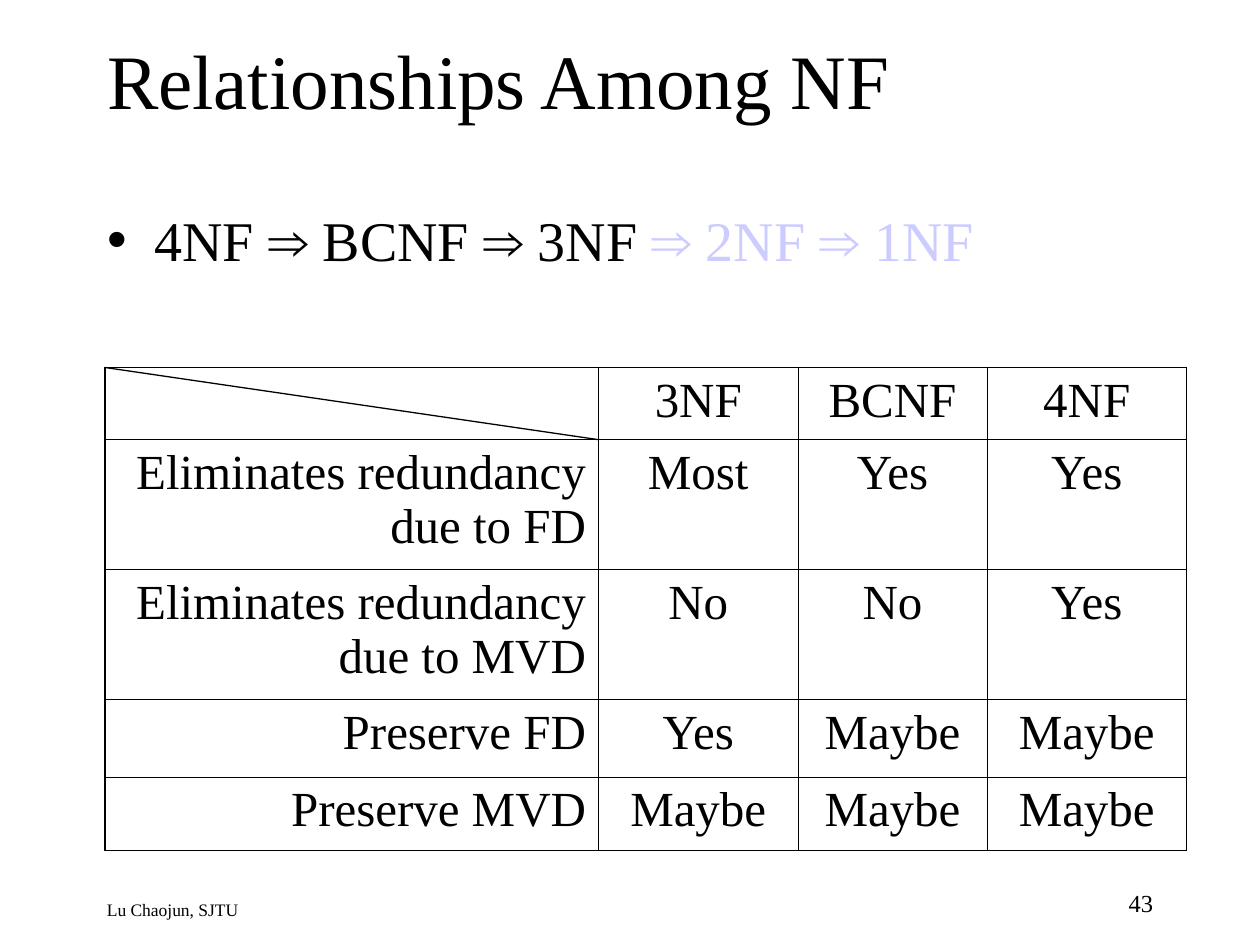
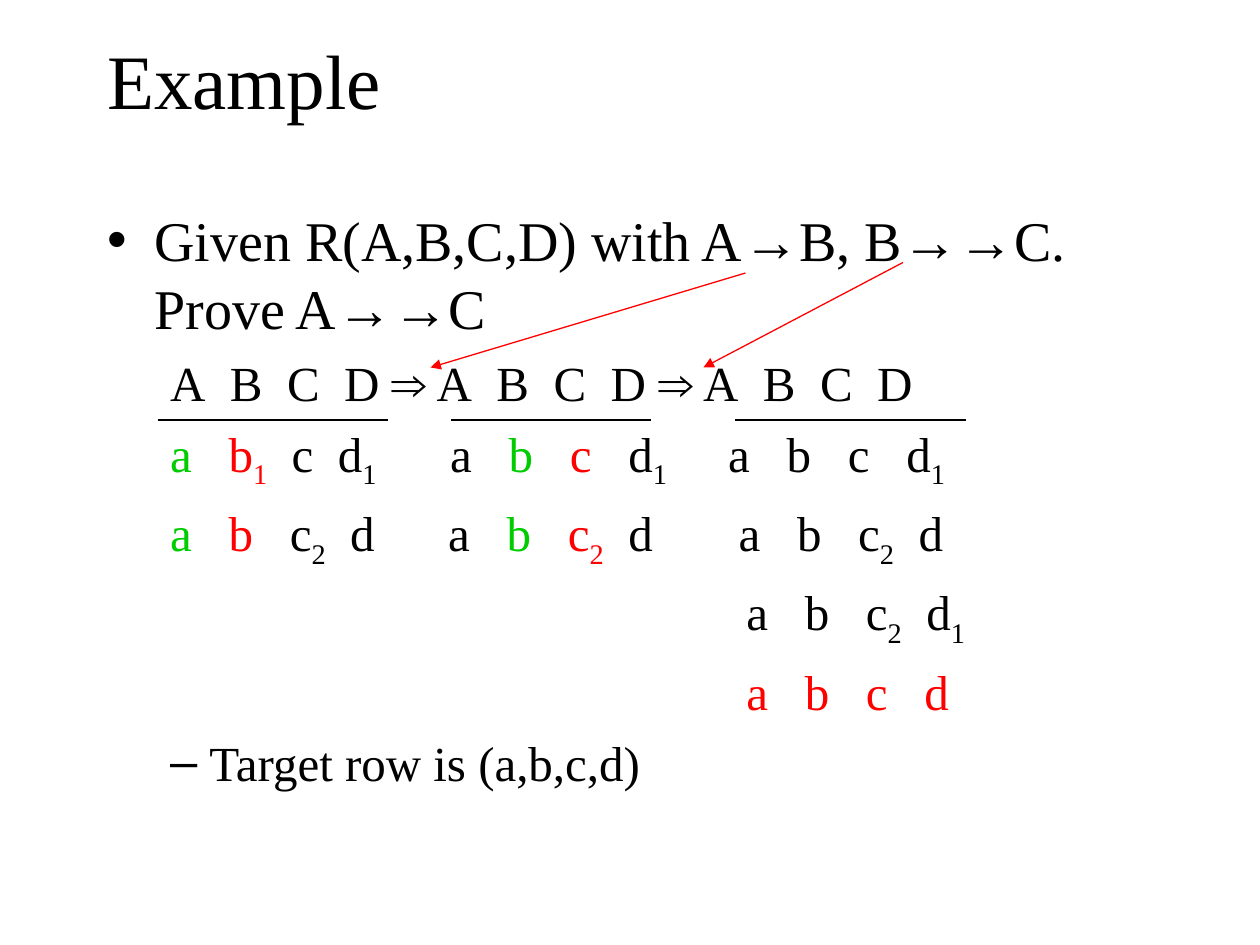
from dataclasses import dataclass
from itertools import groupby

from lxml.etree import SubElement
from pptx import Presentation
from pptx.dml.color import RGBColor
from pptx.enum.shapes import MSO_CONNECTOR
from pptx.enum.text import MSO_ANCHOR, MSO_AUTO_SIZE, PP_ALIGN
from pptx.oxml.ns import qn
from pptx.util import Pt


@dataclass(frozen=True)
class Theme:
    black: str = "000000"
    red: str = "FF0000"
    green: str = "00CC00"
    faded: str = "CCCCFF"
    text_font: str = "Times New Roman"
    symbol_font: str = "Arial"
    title_size: int = 44
    list_size: int = 32
    detail_size: int = 28
    number_size: int = 14
    footer_size: int = 10
    line_width: float = 0.75
    inner_border: float = 0.45
    outer_border: float = 1.08


THEME = Theme()
PX_PER_INCH = 96
ARROWS = "⇒→"

# Layout, in px: left, top, width, height
TITLE_BOX = (72, 0, 816, 120)
BODY_BOX = (72, 152, 816, 488)
FOOTER_BOX = (72, 680, 557, 24)
NUMBER_BOX = (688, 672, 200, 32)

# Comparison table
TABLE_LEFT, TABLE_TOP = 80, 280
COLUMN_WIDTHS = (376, 152, 144, 152)
ROW_HEIGHTS = (55, 99, 99, 59, 56)
NORMAL_FORMS = (
    ("", "3NF", "BCNF", "4NF"),
    ("Eliminates redundancy due to FD", "Most", "Yes", "Yes"),
    ("Eliminates redundancy due to MVD", "No", "No", "Yes"),
    ("Preserve FD", "Yes", "Maybe", "Maybe"),
    ("Preserve MVD", "Maybe", "Maybe", "Maybe"),
)

# Tableau rows: left margin, symbols, their colours (k black, r red, g green),
# and the gap after each symbol, counted in space widths
INK = {"k": THEME.black, "r": THEME.red, "g": THEME.green}
SPACE_WIDTH = THEME.detail_size / 4  # points
ROW_MARGIN, ADDED_ROW_MARGIN = 48, 487
TABLEAU = (
    (ROW_MARGIN, "A B C D ⇒ A B C D ⇒ A B C D", "k" * 14, "2221122211222"),
    (ROW_MARGIN, "a b1 c d1 a b c d1 a b c d1", "grkkkgrkkkkk", "32263335333"),
    (ROW_MARGIN, "a b c2 d a b c2 d a b c2 d", "grkkkgrkkkkk", "33263327332"),
    (ADDED_ROW_MARGIN, "a b c2 d1", "kkkk", "332"),
    (ADDED_ROW_MARGIN, "a b c d", "rrrr", "333"),
)
UNDERLINES = ((120, 296), (344, 496), (560, 736))
UNDERLINE_TOP = 320
STEP_ARROWS = (((568, 208), (328, 280)), ((688, 200), (536, 280)))


def emu(px):
    return round(px * 914400 / PX_PER_INCH)


def place(shape, bounds):
    shape.left, shape.top, shape.width, shape.height = map(emu, bounds)


# Text
def add_text(para, text, size=THEME.detail_size, color=THEME.black,
             subscripts=False, spacing=0):
    """Add text in runs; arrows take the symbol font, digits can be subscripts."""
    def kind(char):
        return char in ARROWS, subscripts and char.isdigit()

    for (is_arrow, is_subscript), chars in groupby(text, kind):
        span = para.add_run()
        span.text = "".join(chars)
        span.font.size = Pt(size)
        span.font.name = THEME.symbol_font if is_arrow else THEME.text_font
        span.font.color.rgb = RGBColor.from_string(color)
        if is_subscript:
            span.font._element.set("baseline", "-25000")
        if spacing:
            span.font._element.set("spc", str(round(spacing * 100)))


def set_indent(para, margin, indent):
    properties = para._p.get_or_add_pPr()
    properties.set("marL", str(emu(margin)))
    properties.set("indent", str(emu(indent)))
    return properties


def set_bullet(para, char, margin, indent):
    properties = set_indent(para, margin, indent)
    color = SubElement(properties, qn("a:buClr"))
    SubElement(color, qn("a:srgbClr"), val=THEME.black)
    SubElement(properties, qn("a:buFont"), typeface=THEME.symbol_font)
    SubElement(properties, qn("a:buChar"), char=char)


def add_detail(frame):
    para = frame.add_paragraph()
    para.level = 1
    para.space_before = Pt(7)
    return para


def add_tableau_row(frame, margin, symbols, inks, gaps):
    para = add_detail(frame)
    SubElement(set_indent(para, margin, 0), qn("a:buNone"))
    for index, (symbol, ink) in enumerate(zip(symbols.split(), inks)):
        if index:
            extra = (int(gaps[index - 1]) - 1) * SPACE_WIDTH
            add_text(para, " ", spacing=extra)
        add_text(para, symbol, color=INK[ink], subscripts=True)


def add_text_box(page, bounds, text, size, align=PP_ALIGN.LEFT):
    box = page.shapes.add_textbox(*map(emu, bounds))
    box.text_frame.word_wrap = True
    para = box.text_frame.paragraphs[0]
    para.alignment = align
    add_text(para, text, size=size)


# Pages
def add_page(deck, title):
    """Add a page with its title; return the page and its body text frame."""
    page = deck.slides.add_slide(deck.slide_layouts[1])
    heading, body = page.placeholders
    place(heading, TITLE_BOX)
    place(body, BODY_BOX)
    for placeholder in (heading, body):
        placeholder.text_frame.auto_size = MSO_AUTO_SIZE.NONE
    heading.text_frame.vertical_anchor = MSO_ANCHOR.MIDDLE
    para = heading.text_frame.paragraphs[0]
    para.alignment = PP_ALIGN.LEFT
    add_text(para, title, size=THEME.title_size)
    first = body.text_frame.paragraphs[0]
    set_bullet(first, "•", 36, -36)
    first.space_before = Pt(0)
    return page, body.text_frame


def add_footer(page, author, number):
    add_text_box(page, FOOTER_BOX, author, THEME.footer_size)
    add_text_box(page, NUMBER_BOX, number, THEME.number_size, PP_ALIGN.RIGHT)


# Lines and table
def add_line(page, start, end, color=THEME.black, arrow=False):
    line = page.shapes.add_connector(MSO_CONNECTOR.STRAIGHT, *map(emu, start + end))
    line.line.width = Pt(THEME.line_width)
    line.line.color.rgb = RGBColor.from_string(color)
    if arrow:
        SubElement(line.line._get_or_add_ln(), qn("a:tailEnd"), type="triangle")
    SubElement(line._element.spPr, qn("a:effectLst"))


def set_borders(cell, outer_sides):
    properties = cell._tc.get_or_add_tcPr()
    for side in "LRTB":
        width = THEME.outer_border if side in outer_sides else THEME.inner_border
        border = SubElement(properties, qn("a:ln" + side), w=str(Pt(width)))
        fill = SubElement(border, qn("a:solidFill"))
        SubElement(fill, qn("a:srgbClr"), val=THEME.black)


def add_table(page, rows):
    bounds = (TABLE_LEFT, TABLE_TOP, sum(COLUMN_WIDTHS), sum(ROW_HEIGHTS))
    table = page.shapes.add_table(len(rows), len(rows[0]), *map(emu, bounds)).table
    table.first_row = table.horz_banding = False
    for column, width in zip(table.columns, COLUMN_WIDTHS):
        column.width = emu(width)
    last_row, last_column = len(rows) - 1, len(rows[0]) - 1
    for r, values in enumerate(rows):
        table.rows[r].height = emu(ROW_HEIGHTS[r])
        for c, value in enumerate(values):
            cell = table.cell(r, c)
            edges = {"L": c == 0, "R": c == last_column, "T": r == 0, "B": r == last_row}
            set_borders(cell, [side for side, is_outer in edges.items() if is_outer])
            cell.fill.background()
            para = cell.text_frame.paragraphs[0]
            para.alignment = PP_ALIGN.CENTER if c else PP_ALIGN.RIGHT
            add_text(para, value)


def build_relationships(deck):
    page, frame = add_page(deck, "Relationships Among NF")
    chain = frame.paragraphs[0]
    add_text(chain, "4NF ⇒ BCNF ⇒ 3NF ", size=THEME.list_size)
    add_text(chain, "⇒ 2NF ⇒ 1NF", size=THEME.list_size, color=THEME.faded)
    add_table(page, NORMAL_FORMS)
    corner = (TABLE_LEFT + COLUMN_WIDTHS[0], TABLE_TOP + ROW_HEIGHTS[0])
    add_line(page, (TABLE_LEFT, TABLE_TOP), corner)
    add_footer(page, "Lu Chaojun, SJTU", "43")


def build_example(deck):
    page, frame = add_page(deck, "Example")
    add_text(frame.paragraphs[0], "Given R(A,B,C,D) with A→B, B→→C. Prove A→→C",
             size=THEME.list_size)
    for row in TABLEAU:
        add_tableau_row(frame, *row)
    target = add_detail(frame)
    set_bullet(target, "–", 78, -30)
    add_text(target, "Target row is (a,b,c,d)")
    for left, right in UNDERLINES:
        add_line(page, (left, UNDERLINE_TOP), (right, UNDERLINE_TOP))
    for start, end in STEP_ARROWS:
        add_line(page, start, end, color=THEME.red, arrow=True)


def main():
    deck = Presentation()
    deck.slide_width, deck.slide_height = emu(960), emu(720)
    build_relationships(deck)
    build_example(deck)
    deck.save("out.pptx")


if __name__ == "__main__":
    main()
